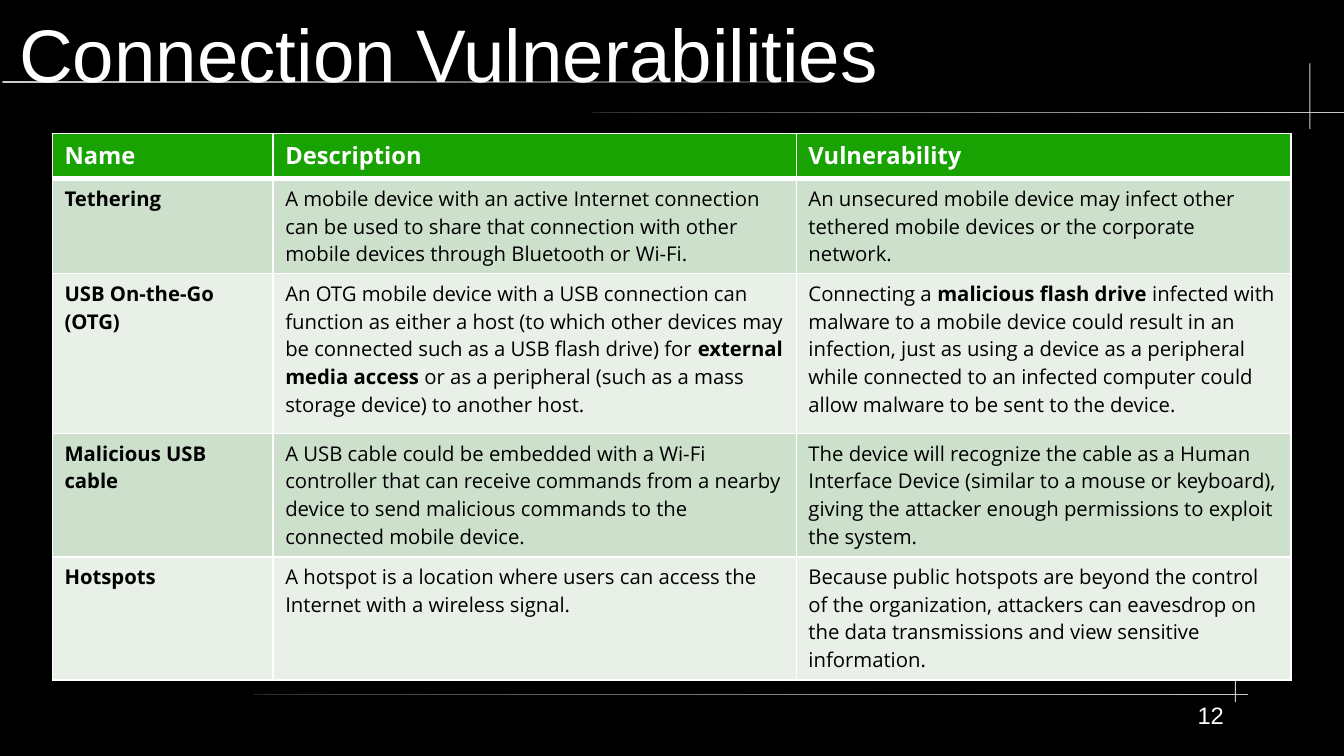
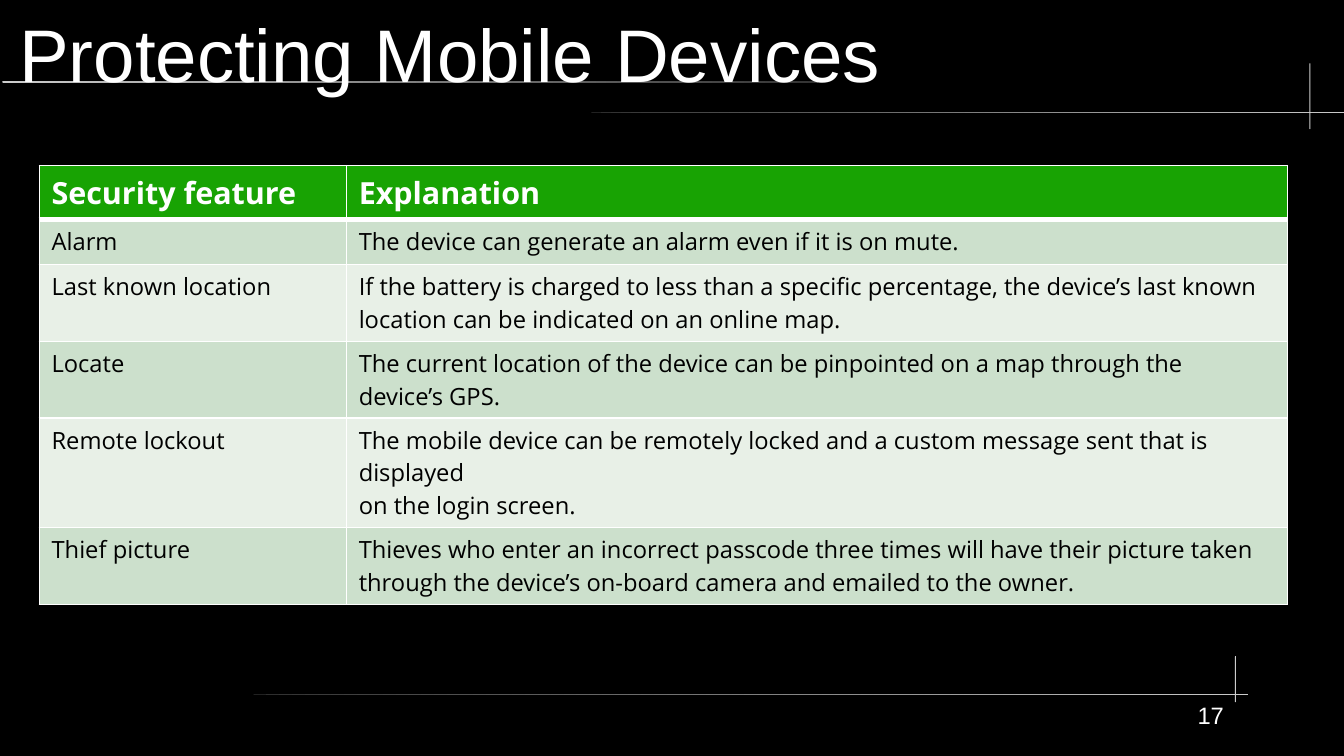
import dataclasses

import lxml.etree
import pptx
import pptx.dml.color
import pptx.enum.shapes
import pptx.enum.text
import pptx.oxml.ns
import pptx.util

Cm = pptx.util.Cm
Pt = pptx.util.Pt
qn = pptx.oxml.ns.qn


@dataclasses.dataclass(frozen=True)
class Theme:
    background: str = "000000"
    light: str = "FFFFFF"
    dark: str = "000000"
    header: str = "18A303"
    row_bands: tuple = ("CCE0CC", "E8F0E7")
    line_bright: str = "CCCCCC"
    line_dim: str = "333333"
    display_font: str = "Arial"
    table_font: str = "Open Sans"
    title_size: float = 44
    page_size: float = 14
    thin_border: float = 0.96
    thick_border: float = 3


THEME = Theme()

# left, top, width, height in cm, then the colours from left to right
BRIGHT, DIM = THEME.line_bright, THEME.line_dim
RULES = [
    (0.05, 1.68, 17, 0.05, (BRIGHT, DIM)),
    (12.32, 2.34, 15.77, 0.02, (DIM, BRIGHT)),
    (27.28, 1.32, 0.02, 1.37, (BRIGHT,)),
    (5.28, 14.45, 20.73, 0.02, (DIM, BRIGHT)),
    (25.73, 13.67, 0.02, 0.96, (BRIGHT,)),
]

# **...** marks bold text, a line break starts a new paragraph
CONNECTION_ROWS = [
    ("Name", "Description", "Vulnerability"),
    ("**Tethering**",
     "A mobile device with an active Internet connection can be used to share that "
     "connection with other mobile devices through Bluetooth or Wi-Fi.",
     "An unsecured mobile device may infect other tethered mobile devices or the "
     "corporate network."),
    ("**USB On-the-Go (OTG)**",
     "An OTG mobile device with a USB connection can function as either a host (to "
     "which other devices may be connected such as a USB flash drive) for **external "
     "media access **or as a peripheral (such as a mass storage device) to another "
     "host.",
     "Connecting a **malicious flash drive **infected with malware to a mobile device "
     "could result in an infection, just as using a device as a peripheral while "
     "connected to an infected computer could allow malware to be sent to the device."),
    ("**Malicious USB cable**",
     "A USB cable could be embedded with a Wi-Fi controller that can receive commands "
     "from a nearby device to send malicious commands to the connected mobile device.",
     "The device will recognize the cable as a Human Interface Device (similar to a "
     "mouse or keyboard), giving the attacker enough permissions to exploit the "
     "system."),
    ("**Hotspots**",
     "A hotspot is a location where users can access the Internet with a wireless "
     "signal.",
     "Because public hotspots are beyond the control of the organization, attackers "
     "can eavesdrop on the data transmissions and view sensitive information."),
]

PROTECTION_ROWS = [
    ("Security feature", "Explanation"),
    ("Alarm", "The device can generate an alarm even if it is on mute."),
    ("Last known location",
     "If the battery is charged to less than a specific percentage, the device’s last "
     "known\nlocation can be indicated on an online map."),
    ("Locate",
     "The current location of the device can be pinpointed on a map through the\n"
     "device’s GPS."),
    ("Remote lockout",
     "The mobile device can be remotely locked and a custom message sent that is "
     "displayed\non the login screen."),
    ("Thief picture",
     "Thieves who enter an incorrect passcode three times will have their picture "
     "taken\nthrough the device’s on-board camera and emailed to the owner."),
]


def rgb(value):
    return pptx.dml.color.RGBColor.from_string(value)


def set_format(target, values):
    for name, value in values.items():
        setattr(target, name, value)


def add_border(cell, side, width):
    """Side is L, R, T or B; the width is in points."""
    border = lxml.etree.SubElement(
        cell._tc.get_or_add_tcPr(), qn(f"a:ln{side}"), w=str(int(Pt(width))))
    fill = lxml.etree.SubElement(border, qn("a:solidFill"))
    lxml.etree.SubElement(fill, qn("a:srgbClr"), val=THEME.light)


class Deck:
    def __init__(self):
        self.prs = pptx.Presentation()
        set_format(self.prs, {"slide_width": Cm(28), "slide_height": Cm(15.75)})
        backdrop = self.prs.slide_master.background.fill
        backdrop.solid()
        backdrop.fore_color.rgb = rgb(THEME.background)
        self.slide = None

    def start_slide(self, title, page):
        self.slide = self.prs.slides.add_slide(
            self.prs.slide_layouts.get_by_name("Title Only"))
        for rule in RULES:
            self.rule(*rule)
        self.title(title)
        self.page_number(page)

    def rule(self, left, top, width, height, colours):
        line = self.slide.shapes.add_shape(
            pptx.enum.shapes.MSO_SHAPE.ROUNDED_RECTANGLE,
            Cm(left), Cm(top), Cm(width), Cm(height))
        line.adjustments[0] = 0.5
        line.shadow.inherit = False
        line.line.fill.background()
        if len(colours) == 1:
            line.fill.solid()
            line.fill.fore_color.rgb = rgb(colours[0])
            return
        line.fill.gradient()
        line.fill.gradient_angle = 0
        for position, (stop, colour) in enumerate(zip(line.fill.gradient_stops, colours)):
            stop.position = position
            stop.color.rgb = rgb(colour)

    def add_runs(self, paragraph, text, font, size, colour, bold=False):
        """Fill a paragraph, with the parts between ** in bold."""
        for index, part in enumerate(text.split("**")):
            if part:
                run = paragraph.add_run()
                run.text = part
                set_format(run.font, {"name": font, "size": Pt(size),
                                      "bold": bold or index % 2 == 1})
                run.font.color.rgb = rgb(colour)

    def label(self, box, text, size, align, anchor):
        """Display text in a frame without margins."""
        frame = box.text_frame
        set_format(frame, {"margin_left": 0, "margin_right": 0, "margin_top": 0,
                           "margin_bottom": 0, "word_wrap": True,
                           "vertical_anchor": anchor})
        frame.paragraphs[0].alignment = align
        self.add_runs(frame.paragraphs[0], text, THEME.display_font, size, THEME.light)

    def title(self, text):
        heading = self.slide.shapes.title
        set_format(heading, {"left": Cm(0.4), "top": Cm(0.2),
                             "width": Cm(26.5), "height": Cm(1.8)})
        self.label(heading, text, THEME.title_size, pptx.enum.text.PP_ALIGN.LEFT,
                   pptx.enum.text.MSO_ANCHOR.MIDDLE)
        heading.text_frame.auto_size = pptx.enum.text.MSO_AUTO_SIZE.SHAPE_TO_FIT_TEXT
        # The title stands in front of the rules
        self.slide.shapes.element.append(heading.element)

    def page_number(self, page):
        box = self.slide.shapes.add_textbox(Cm(21), Cm(14.6), Cm(4.5), Cm(1.14))
        self.label(box, str(page), THEME.page_size, pptx.enum.text.PP_ALIGN.RIGHT,
                   pptx.enum.text.MSO_ANCHOR.TOP)

    def table(self, rows, left, top, widths, heights, header_size, body_size):
        table = self.slide.shapes.add_table(
            len(rows), len(widths), Cm(left), Cm(top),
            Cm(sum(widths)), Cm(sum(heights))).table
        table.horz_banding = False
        for column, width in zip(table.columns, widths):
            column.width = Cm(width)
        for row_index, (row, height) in enumerate(zip(table.rows, heights)):
            row.height = Cm(height)
            for cell, text in zip(row.cells, rows[row_index]):
                size = body_size if row_index else header_size
                self.cell(cell, text, row_index, size)

    def cell(self, cell, text, row_index, size):
        is_header = row_index == 0
        # The thick line lies between the header and the first body row
        thick_side = {0: "B", 1: "T"}.get(row_index)
        for side in "LRTB":
            add_border(cell, side,
                       THEME.thick_border if side == thick_side else THEME.thin_border)
        cell.fill.solid()
        cell.fill.fore_color.rgb = rgb(
            THEME.header if is_header else THEME.row_bands[(row_index - 1) % 2])
        frame = cell.text_frame
        for index, line in enumerate(text.split("\n")):
            paragraph = frame.add_paragraph() if index else frame.paragraphs[0]
            self.add_runs(paragraph, line, THEME.table_font, size,
                          THEME.light if is_header else THEME.dark, bold=is_header)


def main():
    deck = Deck()

    deck.start_slide("Connection Vulnerabilities", 12)
    deck.table(CONNECTION_ROWS, 1.09, 2.78, widths=(4.6, 10.9, 10.31),
               heights=(0.94, 1.98, 3.33, 2.57, 2.57), header_size=14, body_size=12)

    deck.start_slide("Protecting Mobile Devices", 17)
    deck.table(PROTECTION_ROWS, 0.82, 3.45, widths=(6.4, 19.6),
               heights=(1.12, 0.94, 1.6, 1.6, 2.28, 1.6), header_size=18, body_size=14)

    deck.prs.save("out.pptx")


if __name__ == "__main__":
    main()
